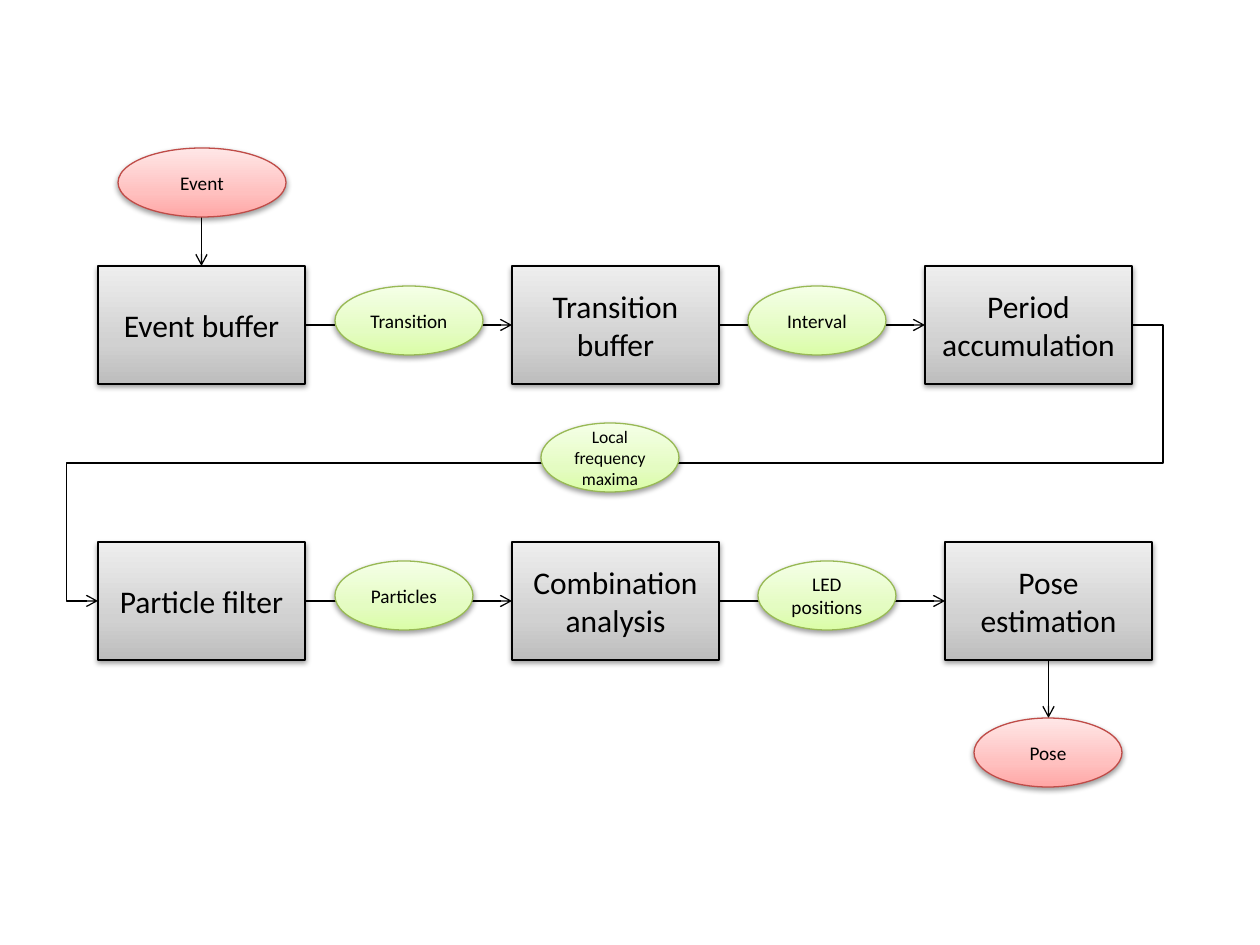
import pptx
import pptx.util
import pptx.dml.color
import pptx.enum.shapes
import pptx.enum.text
import pptx.oxml
import pptx.oxml.ns

RGBColor = pptx.dml.color.RGBColor
SHAPES = pptx.enum.shapes.MSO_SHAPE
CONNECTORS = pptx.enum.shapes.MSO_CONNECTOR
qn = pptx.oxml.ns.qn
PX = 914400 / 126

BLACK = RGBColor(0x00, 0x00, 0x00)
RED_LINE = RGBColor(0xBF, 0x4C, 0x48)
GREEN_LINE = RGBColor(0x98, 0xB9, 0x55)
GRAYS = (RGBColor(0xBD, 0xBD, 0xBD), RGBColor(0xD1, 0xD1, 0xD1), RGBColor(0xEE, 0xEE, 0xEE))
REDS = (RGBColor(0xFF, 0xA6, 0xA5), RGBColor(0xFF, 0xC0, 0xBF), RGBColor(0xFF, 0xE7, 0xE7))
GREENS = (RGBColor(0xDA, 0xFD, 0xA7), RGBColor(0xE4, 0xFC, 0xC2), RGBColor(0xF5, 0xFF, 0xE7))
STOPS = (0, 35, 100)

NAMESPACE = 'xmlns:a="http://schemas.openxmlformats.org/drawingml/2006/main"'
SHADOW = (f'<a:effectLst {NAMESPACE}><a:outerShdw blurRad="40000" dist="20000" dir="5400000" '
          'rotWithShape="0"><a:srgbClr val="000000"><a:alpha val="38000"/></a:srgbClr>'
          '</a:outerShdw></a:effectLst>')

BOX_WIDTH, BOX_HEIGHT, OVAL_HEIGHT = 207, 118, 69
TOP_ROW, BOTTOM_ROW = 266, 542
LEFT, MIDDLE, RIGHT, LAST = 98, 512, 925, 945
TOP_AXIS, BOTTOM_AXIS = TOP_ROW + BOX_HEIGHT // 2, BOTTOM_ROW + BOX_HEIGHT // 2
RETURN_AXIS = (TOP_AXIS + BOTTOM_AXIS) // 2

presentation = pptx.Presentation()
presentation.slide_width = pptx.util.Inches(10)
presentation.slide_height = pptx.util.Inches(7.5)
slide = presentation.slides.add_slide(presentation.slide_layouts[6])


def add_node(text, left, top, width, height, *, kind=SHAPES.OVAL, size=11,
             colors=GREENS, outline=GREEN_LINE):
    """Add a shaded, captioned shape; each line of text is a paragraph."""
    shape = slide.shapes.add_shape(kind, *(round(v * PX) for v in (left, top, width, height)))
    shape.fill.gradient()
    shape.fill.gradient_angle = 90
    stop_list = next(shape._element.spPr.iter(qn("a:gsLst")))
    stop_list.clear()
    for position, color in zip(STOPS, colors):
        stop_list.append(pptx.oxml.parse_xml(
            f'<a:gs {NAMESPACE} pos="{position * 1000}"><a:srgbClr val="{color}"/></a:gs>'))
    shape.line.color.rgb = outline
    shape.line.width = pptx.util.Pt(0.75)
    shape._element.spPr.append(pptx.oxml.parse_xml(SHADOW))
    frame = shape.text_frame
    frame.word_wrap = True
    frame.vertical_anchor = pptx.enum.text.MSO_ANCHOR.MIDDLE
    frame.text = text
    for paragraph in frame.paragraphs:
        paragraph.alignment = pptx.enum.text.PP_ALIGN.CENTER
        font = paragraph.runs[0].font
        font.name = "Calibri"
        font.size = pptx.util.Pt(size)
        font.color.rgb = BLACK


def add_link(start, end, *, arrow=True, bend=None):
    """Join two points; bend is the elbow's place as a share of the width."""
    kind = CONNECTORS.STRAIGHT if bend is None else CONNECTORS.ELBOW
    link = slide.shapes.add_connector(kind, *(round(v * PX) for v in (*start, *end)))
    link.line.color.rgb = BLACK
    link.line.width = pptx.util.Pt(0.75)
    properties = link._element.spPr
    if arrow:
        link.line._get_or_add_ln().append(
            pptx.oxml.parse_xml(f'<a:tailEnd {NAMESPACE} type="arrow"/>'))
    if bend is not None:
        geometry = properties.find(qn("a:prstGeom"))
        geometry.get_or_add_avLst().append(pptx.oxml.parse_xml(
            f'<a:gd {NAMESPACE} name="adj1" fmla="val {round(bend * 100000)}"/>'))
    properties.append(pptx.oxml.parse_xml(f'<a:effectLst {NAMESPACE}/>'))


# Processing steps
for text, left, top in (
    ("Event buffer", LEFT, TOP_ROW),
    ("Transition buffer", MIDDLE, TOP_ROW),
    ("Period\naccumulation", RIGHT, TOP_ROW),
    ("Particle filter", LEFT, BOTTOM_ROW),
    ("Combination analysis", MIDDLE, BOTTOM_ROW),
    ("Pose estimation", LAST, BOTTOM_ROW),
):
    add_node(text, left, top, BOX_WIDTH, BOX_HEIGHT, kind=SHAPES.RECTANGLE,
             size=18, colors=GRAYS, outline=BLACK)

# Links within each row, then the return path between the rows
for axis, columns in ((TOP_AXIS, (LEFT, MIDDLE, RIGHT)), (BOTTOM_AXIS, (LEFT, MIDDLE, LAST))):
    for source, target in zip(columns, columns[1:]):
        add_link((source + BOX_WIDTH, axis), (target, axis))

turn = (266, RETURN_AXIS)
add_link((RIGHT + BOX_WIDTH, TOP_AXIS), turn, arrow=False, bend=-0.036)
add_link(turn, (LEFT, BOTTOM_AXIS), bend=1.188)

# Input and output
event_x, pose_x = LEFT + BOX_WIDTH / 2, LAST + BOX_WIDTH / 2
add_link((event_x, 148 + OVAL_HEIGHT), (event_x, TOP_ROW))
add_link((pose_x, BOTTOM_ROW + BOX_HEIGHT), (pose_x, 718))
for text, left, top, width in (("Event", 118, 148, 168), ("Pose", 974, 718, 148)):
    add_node(text, left, top, width, OVAL_HEIGHT, colors=REDS, outline=RED_LINE)

# Data passed between the steps
for text, left, top, width, size in (
    ("Transition", 335, 286, 148, 11),
    ("Interval", 748, 286, 138, 11),
    ("Local frequency maxima", 541, 423, 138, 10),
    ("Particles", 335, 561, 138, 11),
    ("LED positions", 758, 561, 138, 11),
):
    add_node(text, left, top, width, OVAL_HEIGHT, size=size)

presentation.save("out.pptx")
